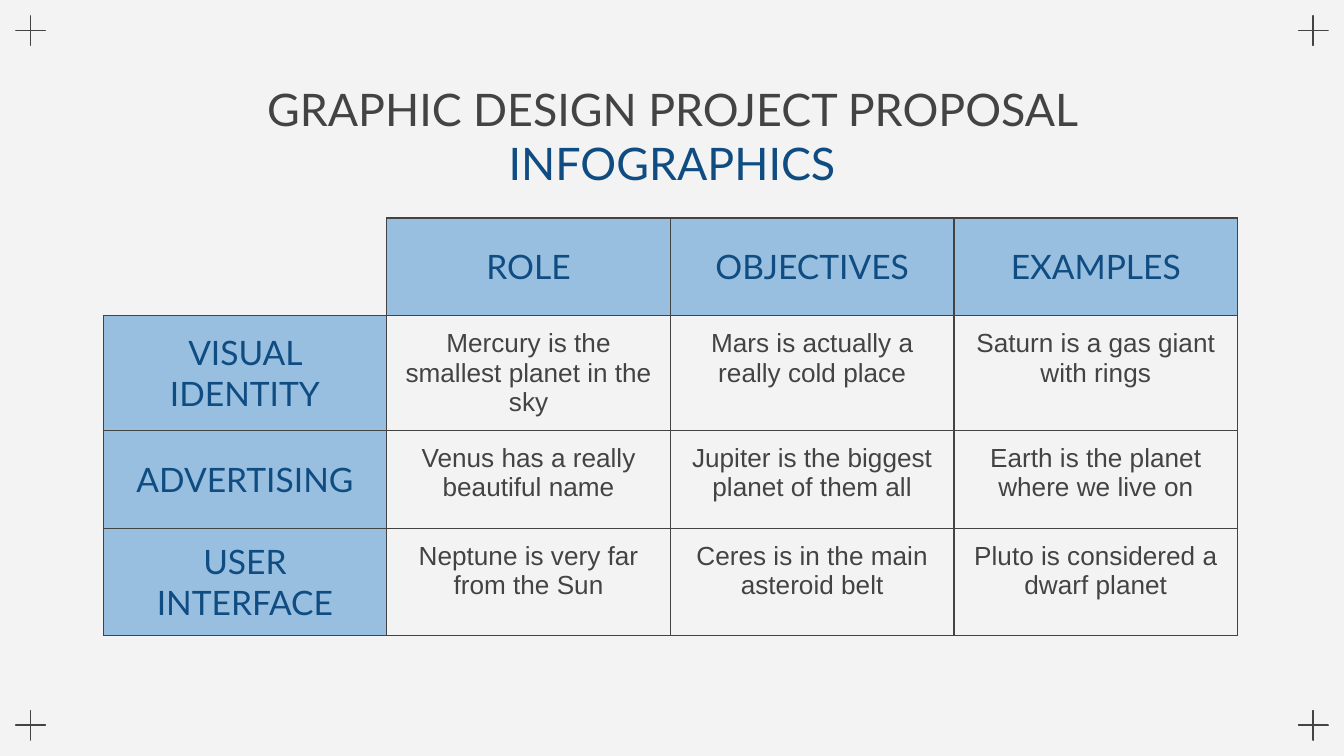
from itertools import product

from pptx import Presentation
from pptx.dml.color import RGBColor
from pptx.enum.shapes import MSO_SHAPE as SHAPE
from pptx.enum.text import MSO_ANCHOR as ANCHOR, MSO_AUTO_SIZE as AUTO_SIZE, PP_ALIGN as ALIGN
from pptx.oxml import parse_xml
from pptx.oxml.ns import nsdecls
from pptx.util import Cm, Pt

WIDTH, HEIGHT = 25.4, 14.29
INK, BLUE, SKY, PAPER = "434343", "0F4C81", "98BEE0", "F3F3F3"
HEAD_FONT, BODY_FONT = "Lato", "Arial"
INSET, LINE = Cm(0.25), Pt(0.75)

ROWS = [
    ["", "ROLE", "OBJECTIVES", "EXAMPLES"],
    ["VISUAL IDENTITY", "Mercury is the smallest planet in the sky",
     "Mars is actually a really cold place", "Saturn is a gas giant with rings"],
    ["ADVERTISING", "Venus has a really beautiful name",
     "Jupiter is the biggest planet of them all", "Earth is the planet where we live on"],
    ["USER INTERFACE", "Neptune is very far from the Sun",
     "Ceres is in the main asteroid belt", "Pluto is considered a dwarf planet"],
]


def rgb(value):
    return RGBColor.from_string(value)


def set_borders(cell, sides):
    """Draw the given sides (from "LRTB") and hide the others."""
    tc_pr = cell._tc.get_or_add_tcPr()
    for side in "LRTB":
        fill = (f'<a:solidFill><a:srgbClr val="{INK}"/></a:solidFill>'
                if side in sides else "<a:noFill/>")
        tc_pr.append(parse_xml(f'<a:ln{side} {nsdecls("a")} w="{LINE}">{fill}</a:ln{side}>'))


class SlideBuilder:
    def __init__(self, prs):
        self.slide = prs.slides.add_slide(prs.slide_layouts[5])
        fill = self.slide.background.fill
        fill.solid()
        fill.fore_color.rgb = rgb(PAPER)

    def style(self, p, size, font, color):
        p.alignment = ALIGN.CENTER
        p.font.size, p.font.name = Pt(size), font
        p.font.color.rgb = rgb(color)

    def corner_marks(self, size, margin):
        lefts = margin, WIDTH - margin - size
        tops = margin, HEIGHT - margin - size
        for top, left in product(tops, lefts):
            sp = self.slide.shapes.add_shape(
                SHAPE.MATH_PLUS, Cm(left), Cm(top), Cm(size), Cm(size))
            sp.adjustments[0] = 0.007
            sp.shadow.inherit = False
            sp.fill.background()
            sp.line.color.rgb = rgb(INK)
            sp.line.width = LINE

    def title(self, text, accent, left, top, width, height):
        sp = self.slide.shapes.title
        sp.left, sp.top, sp.width, sp.height = Cm(left), Cm(top), Cm(width), Cm(height)
        tf = sp.text_frame
        tf.auto_size, tf.word_wrap = AUTO_SIZE.NONE, True
        tf.vertical_anchor = ANCHOR.TOP
        tf.margin_left = tf.margin_right = tf.margin_top = tf.margin_bottom = INSET
        p = tf.paragraphs[0]
        p.add_run().text = text
        r = p.add_run()
        r.text = accent
        r.font.color.rgb = rgb(BLUE)
        self.style(p, 24, HEAD_FONT, INK)

    def table(self, rows, left, top, col_width, row_height):
        n_rows, n_cols = len(rows), len(rows[0])
        table = self.slide.shapes.add_table(
            n_rows, n_cols, Cm(left), Cm(top),
            Cm(col_width * n_cols), Cm(row_height * n_rows)).table
        table.first_row = table.horz_banding = False
        for i, row in enumerate(rows):
            for j, text in enumerate(row):
                self.cell(table.cell(i, j), text, is_header=i == 0 or j == 0)

    def cell(self, cell, text, is_header):
        cell.margin_left = cell.margin_right = cell.margin_top = cell.margin_bottom = INSET
        set_borders(cell, "LRTB" if text else "RB")
        if is_header and text:
            cell.fill.solid()
            cell.fill.fore_color.rgb = rgb(SKY)
        else:
            cell.fill.background()
        cell.vertical_anchor = ANCHOR.MIDDLE if is_header else ANCHOR.TOP
        cell.text = text
        look = (18, HEAD_FONT, BLUE) if is_header else (14, BODY_FONT, INK)
        self.style(cell.text_frame.paragraphs[0], *look)


def main():
    prs = Presentation()
    prs.slide_width, prs.slide_height = Cm(WIDTH), Cm(HEIGHT)
    builder = SlideBuilder(prs)
    builder.corner_marks(size=0.76, margin=0.2)
    builder.title("GRAPHIC DESIGN PROJECT PROPOSAL ", "INFOGRAPHICS", 2.05, 1.3, 21.3, 1.57)
    builder.table(ROWS, left=1.95, top=4.12, col_width=5.36, row_height=1.85)
    prs.save("out.pptx")


if __name__ == "__main__":
    main()
